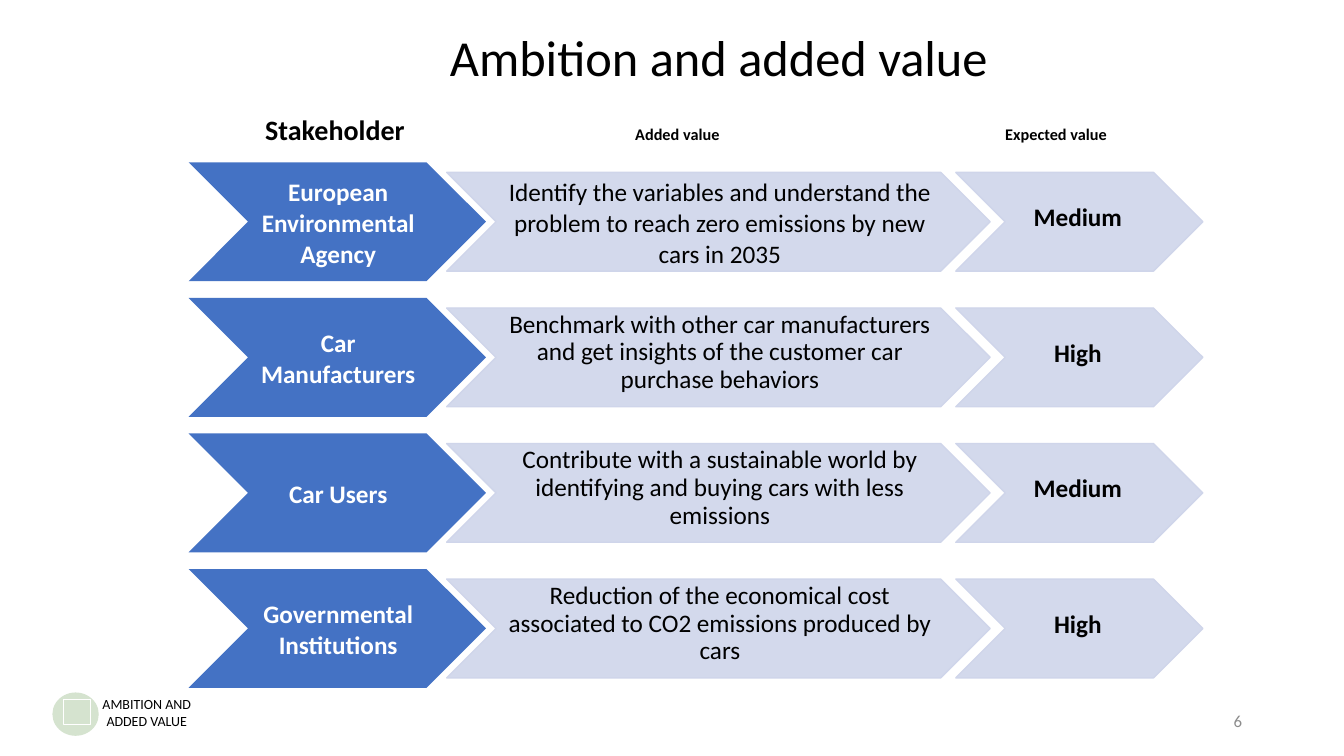
"""Build the stakeholder slide: chevron rows with added and expected value."""
from lxml import etree
from pptx import Presentation
from pptx.dml.color import RGBColor
from pptx.enum.shapes import MSO_SHAPE
from pptx.enum.text import MSO_ANCHOR, MSO_AUTO_SIZE, PP_ALIGN
from pptx.oxml.ns import qn
from pptx.util import Inches, Pt

CHEVRON, OVAL, RECTANGLE = MSO_SHAPE.CHEVRON, MSO_SHAPE.OVAL, MSO_SHAPE.RECTANGLE
LEFT, CENTER, RIGHT = PP_ALIGN.LEFT, PP_ALIGN.CENTER, PP_ALIGN.RIGHT
TOP, MIDDLE = MSO_ANCHOR.TOP, MSO_ANCHOR.MIDDLE

TITLE = "Ambition and added value"
HEADINGS = ("Stakeholder", "Added value", "Expected value")
ROWS = [
    ("European Environmental Agency",
     "Identify the variables and understand the problem to reach zero emissions by new cars in 2035",
     "Medium"),
    ("Car Manufacturers",
     "Benchmark with other car manufacturers and get insights of the customer car purchase behaviors",
     "High"),
    ("Car Users",
     "Contribute with a sustainable world by identifying and buying cars with less emissions",
     "Medium"),
    ("Governmental Institutions",
     "Reduction of the economical cost associated to CO2 emissions produced by cars",
     "High"),
]
FOOTER = "AMBITION AND ADDED VALUE"
PAGE_NUMBER = "6"

COLORS = {"blue": "4472C4", "pale": "CFD5EA", "green": "D5E3CF",
          "white": "FFFFFF", "black": "000000", "gray": "8C8C8C"}
FONT = "Calibri"
FIRST_CENTER, ROW_PITCH = 2.2, 1.345
STAKEHOLDER_ARROW = (1.87, 2.95, 1.18)
VALUE_ARROWS = ((4.43, 5.39, 0.98), (9.48, 2.45, 0.98))
LABEL_COLUMN, DETAIL_COLUMN, VALUE_COLUMN = (2.52, 1.67), (5.02, 4.24), (10.19, 1.0)
TEXT_HEIGHT = 0.97
TAB_STEP = 3.67


def color(name):
    return RGBColor.from_string(COLORS[name])


def write(box, text, size=18, ink="black", bold=False, align=CENTER, anchor=TOP,
          inset=0.01, before=1, spacing=1.0, raised=""):
    """Put formatted text in a box, with an optional raised tail."""
    frame = box.text_frame
    frame.word_wrap = True
    frame.auto_size = MSO_AUTO_SIZE.NONE
    frame.vertical_anchor = anchor
    frame.margin_left = frame.margin_right = frame.margin_bottom = 0
    frame.margin_top = Inches(inset)
    para = frame.paragraphs[0]
    para.alignment, para.space_before, para.line_spacing = align, Pt(before), spacing
    for part in filter(None, (text, raised)):
        span = para.add_run()
        span.text = part
        span.font.name, span.font.size, span.font.bold = FONT, Pt(size), bold
        span.font.color.rgb = color(ink)
    if raised:
        span.font._element.set("baseline", "3000")
    return para


def add_text(page, place, text, **style):
    return write(page.shapes.add_textbox(*map(Inches, place)), text, **style)


def add_figure(page, kind, place, fill=None, line=None, opacity=100):
    shape = page.shapes.add_shape(kind, *map(Inches, place))
    shape.shadow.inherit = False
    if fill:
        shape.fill.solid()
        shape.fill.fore_color.rgb = color(fill)
        if opacity < 100:
            tint = shape.fill._xPr.find(".//" + qn("a:srgbClr"))
            etree.SubElement(tint, qn("a:alpha"), val=str(opacity * 1000))
    else:
        shape.fill.background()
    if line:
        shape.line.color.rgb = color(line)
        shape.line.width = Pt(1)
    else:
        shape.line.fill.background()


def add_arrow(page, column, center, **style):
    left, width, height = column
    add_figure(page, CHEVRON, (left, center - height / 2, width, height), **style)


def add_row(page, index, stakeholder, detail, value):
    center = FIRST_CENTER + index * ROW_PITCH
    add_arrow(page, STAKEHOLDER_ARROW, center, fill="blue")
    for column in VALUE_ARROWS:
        add_arrow(page, column, center, fill="pale", line="pale", opacity=90)
    left, width = LABEL_COLUMN
    add_text(page, (left, center - TEXT_HEIGHT / 2, width, TEXT_HEIGHT), stakeholder,
             ink="white", bold=True, anchor=MIDDLE, spacing=Pt(22.1))
    left, width = DETAIL_COLUMN
    add_text(page, (left, center - 0.51, width, TEXT_HEIGHT), detail, inset=0.05,
             before=3, spacing=Pt(22.1) if index == 0 else 0.92)
    left, width = VALUE_COLUMN
    add_text(page, (left, center - 0.21, width, 0.32), value, bold=True)


def add_headings(page):
    first, *others = HEADINGS
    para = add_text(page, (2.63, 1.11, 8.88, 0.35), first + "\t", size=20, bold=True,
                    align=LEFT, raised="\t".join(others))
    stops = etree.SubElement(para._p.get_or_add_pPr(), qn("a:tabLst"))
    for number in range(1, len(HEADINGS)):
        etree.SubElement(stops, qn("a:tab"), pos=str(Inches(number * TAB_STEP)), algn="l")


def main():
    deck = Presentation()
    deck.slide_width, deck.slide_height = Inches(13.33), Inches(7.5)
    page = deck.slides.add_slide(deck.slide_layouts[5])
    title = page.shapes.title
    title.left, title.top, title.width, title.height = map(Inches, (2.92, 0.24, 8.42, 0.62))
    write(title, TITLE, size=36, anchor=MIDDLE, before=0.5)
    add_figure(page, OVAL, (0.52, 6.87, 0.46, 0.43), fill="green")
    add_figure(page, RECTANGLE, (0.63, 6.94, 0.27, 0.25), line="white")
    for index, row in enumerate(ROWS):
        add_row(page, index, *row)
    add_text(page, (1.0, 6.89, 0.91, 0.34), FOOTER, size=10, before=0.5)
    add_headings(page)
    add_text(page, (9.42, 6.95, 2.9, 0.4), PAGE_NUMBER, size=12, ink="gray",
             align=RIGHT, anchor=MIDDLE, before=0.4)
    deck.save("out.pptx")


if __name__ == "__main__":
    main()
